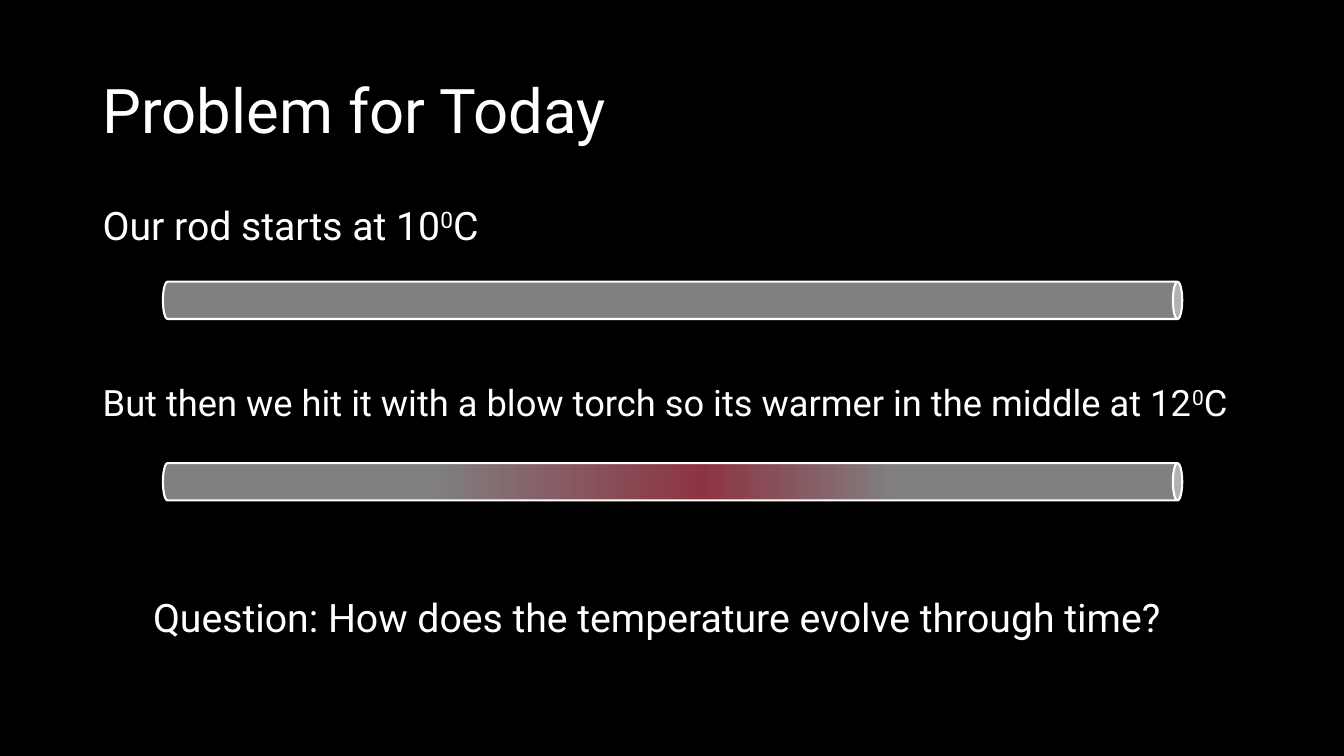
from lxml import etree
from pptx import Presentation
from pptx.dml.color import RGBColor
from pptx.enum.shapes import MSO_SHAPE as Shape
from pptx.enum.text import MSO_ANCHOR as Anchor
from pptx.oxml.ns import qn
from pptx.util import Inches, Pt

BLACK = RGBColor(0x00, 0x00, 0x00)
WHITE = RGBColor(0xFF, 0xFF, 0xFF)
STEEL = RGBColor(0x80, 0x80, 0x80)
HEAT = RGBColor(0x8D, 0x34, 0x43)

MARGIN = 0.92
ROD_LENGTH, ROD_THICKNESS = 10.11, 0.37
ROD_CENTER_X = 6.67

deck = Presentation()
deck.slide_width, deck.slide_height = Inches(13.33), Inches(7.5)
slide = deck.slides.add_slide(deck.slide_layouts[6])
slide.background.fill.solid()
slide.background.fill.fore_color.rgb = BLACK

# Left, top, width, height, size, space before, anchor, (text, superscript) runs
statements = [
    (MARGIN, 0.4, 11.5, 1.45, 44, 0, Anchor.MIDDLE,
     [("Problem for Today", False)]),
    (MARGIN, 2, 11.5, 0.63, 28, 10, Anchor.TOP,
     [("Our rod starts at 10", False), ("0", True), ("C", False)]),
    (MARGIN, 3.77, 11.73, 0.8, 25.9, 10, Anchor.TOP,
     [("But then we hit it with a blow torch so its warmer in the middle at 12", False),
      ("0", True), ("C", False)]),
    (MARGIN + 0.5, 5.89, 10.5, 1.33, 28, 10, Anchor.TOP,
     [("Question: How does the temperature evolve through time?", False)]),
]
for left, top, width, height, size, space_before, anchor, pieces in statements:
    frame = slide.shapes.add_textbox(
        Inches(left), Inches(top), Inches(width), Inches(height)).text_frame
    frame.word_wrap = True
    frame.vertical_anchor = anchor
    line = frame.paragraphs[0]
    line.line_spacing = 0.9
    line.space_before = Pt(space_before)
    for text, superscript in pieces:
        run = line.add_run()
        run.text = text
        run.font.name = "Roboto"
        run.font.size = Pt(size)
        run.font.color.rgb = WHITE
        if superscript:
            run.font._element.set("baseline", "30000")

# Each rod is an upright can turned on its side; stops run from its right end
cold_stops = []
torch_stops = [(0, STEEL), (28, STEEL), (47, HEAT), (74, STEEL), (100, STEEL)]
for center_y, stops in [(2.98, cold_stops), (4.78, torch_stops)]:
    rod = slide.shapes.add_shape(
        Shape.CAN,
        Inches(ROD_CENTER_X - ROD_THICKNESS / 2), Inches(center_y - ROD_LENGTH / 2),
        Inches(ROD_THICKNESS), Inches(ROD_LENGTH))
    rod.rotation = 90
    rod.shadow.inherit = False
    rod.line.color.rgb = WHITE
    rod.line.width = Pt(1.5)
    if not stops:
        rod.fill.solid()
        rod.fill.fore_color.rgb = STEEL
        continue
    rod.fill.gradient()
    rod.fill.gradient_angle = 270
    stop_list = rod._element.spPr.find(qn("a:gradFill")).find(qn("a:gsLst"))
    for preset_stop in list(stop_list):
        stop_list.remove(preset_stop)
    for percent, color in stops:
        stop = etree.SubElement(stop_list, qn("a:gs"), pos=str(percent * 1000))
        etree.SubElement(stop, qn("a:srgbClr"), val=str(color))

deck.save("out.pptx")
